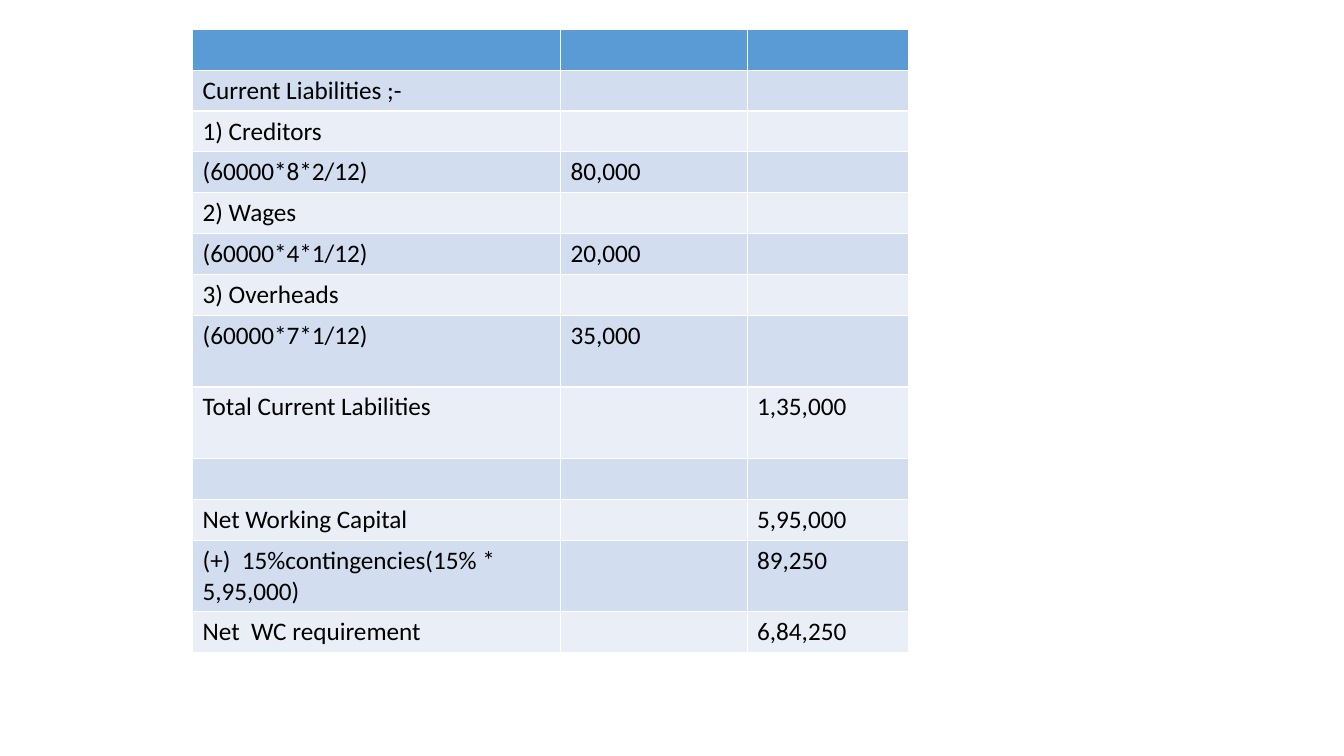
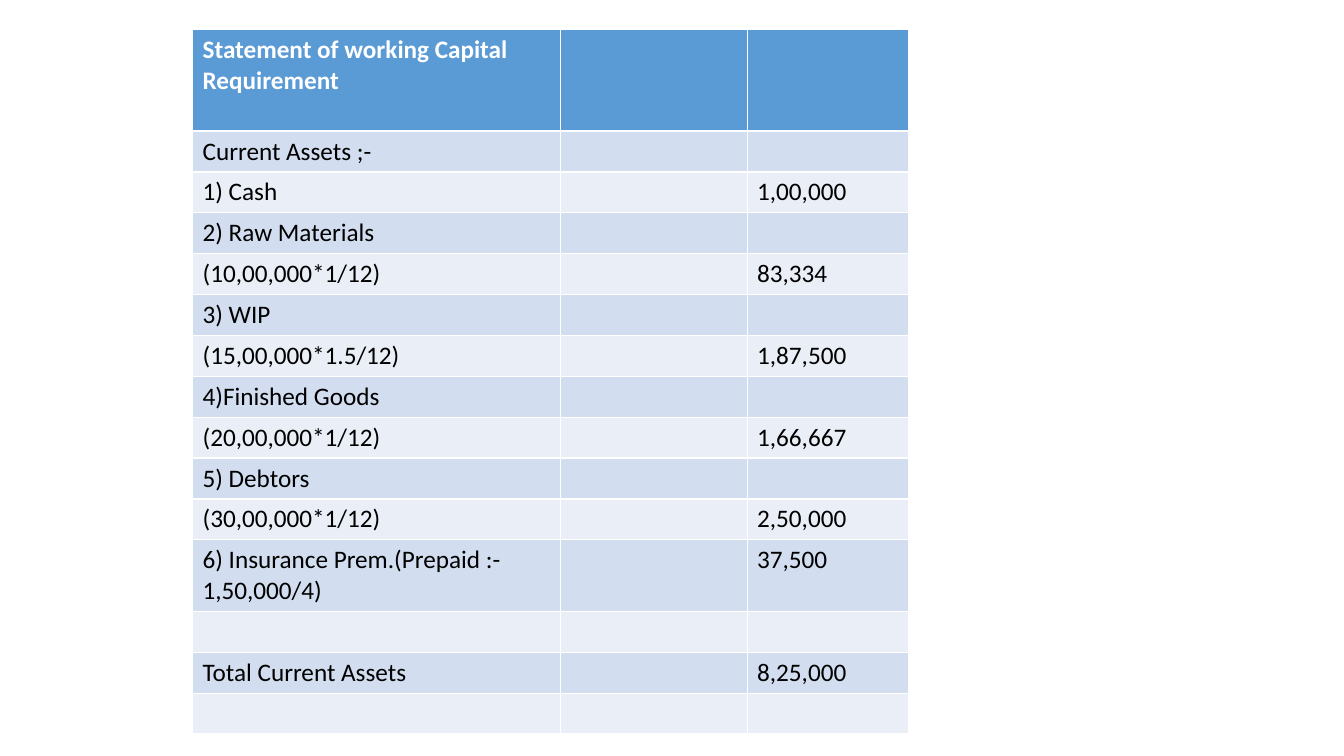
"""Build two slides with the working capital statement tables."""
from pptx import Presentation
from pptx.dml.color import RGBColor
from pptx.util import Inches, Pt

COLORS = {"header": "5B9BD5", "odd": "D2DEEF", "even": "EAEFF7",
          "header_text": "FFFFFF", "text": "000000"}
COLUMN_WIDTHS = [3.65, 1.85, 1.6]
LINE_HEIGHTS = {1: 0.4, 2: 0.71, 3: 1.01}

LIABILITIES = [
    ("", "", ""),
    ("Current Liabilities ;-", "", ""),
    ("1) Creditors", "", ""),
    ("(60000*8*2/12)", "80,000", ""),
    ("2) Wages", "", ""),
    ("(60000*4*1/12)", "20,000", ""),
    ("3) Overheads", "", ""),
    ("(60000*7*1/12)", "35,000", ""),
    ("Total Current Labilities", "", "1,35,000"),
    ("", "", ""),
    ("Net Working Capital", "", "5,95,000"),
    ("(+)  15%contingencies(15% * 5,95,000)", "", "89,250"),
    ("Net  WC requirement", "", "6,84,250"),
]
ASSETS = [
    ("Statement of working Capital Requirement", "", ""),
    ("Current Assets ;-", "", ""),
    ("1) Cash", "", "1,00,000"),
    ("2) Raw Materials", "", ""),
    ("(10,00,000*1/12)", "", "83,334"),
    ("3) WIP", "", ""),
    ("(15,00,000*1.5/12)", "", "1,87,500"),
    ("4)Finished Goods", "", ""),
    ("(20,00,000*1/12)", "", "1,66,667"),
    ("5) Debtors", "", ""),
    ("(30,00,000*1/12)", "", "2,50,000"),
    ("6) Insurance Prem.(Prepaid :- 1,50,000/4)", "", "37,500"),
    ("", "", ""),
    ("Total Current Assets", "", "8,25,000"),
    ("", "", ""),
]
STATEMENTS = [
    (LIABILITIES, {7: 2, 8: 2, 11: 2}),
    (ASSETS, {0: 3, 11: 2}),
]

prs = Presentation()
prs.slide_width = Inches(13.33)
prs.slide_height = Inches(7.5)

for rows, tall_rows in STATEMENTS:
    s = prs.slides.add_slide(prs.slide_layouts[6])
    heights = [LINE_HEIGHTS[tall_rows.get(i, 1)] for i in range(len(rows))]
    table = s.shapes.add_table(
        len(rows), len(COLUMN_WIDTHS), Inches(1.91), Inches(0.29),
        Inches(sum(COLUMN_WIDTHS)), Inches(sum(heights))).table
    for column, width in zip(table.columns, COLUMN_WIDTHS):
        column.width = Inches(width)
    for i, (values, height) in enumerate(zip(rows, heights)):
        table.rows[i].height = Inches(height)
        is_header = i == 0
        fill = "header" if is_header else "odd" if i % 2 else "even"
        font = {"name": "Calibri", "size": Pt(18), "bold": is_header}
        for j, value in enumerate(values):
            cell = table.cell(i, j)
            cell.fill.solid()
            cell.fill.fore_color.rgb = RGBColor.from_string(COLORS[fill])
            if not value:
                continue
            r = cell.text_frame.paragraphs[0].add_run()
            r.text = value
            for name, setting in font.items():
                setattr(r.font, name, setting)
            r.font.color.rgb = RGBColor.from_string(
                COLORS["header_text" if is_header else "text"])

prs.save("out.pptx")
